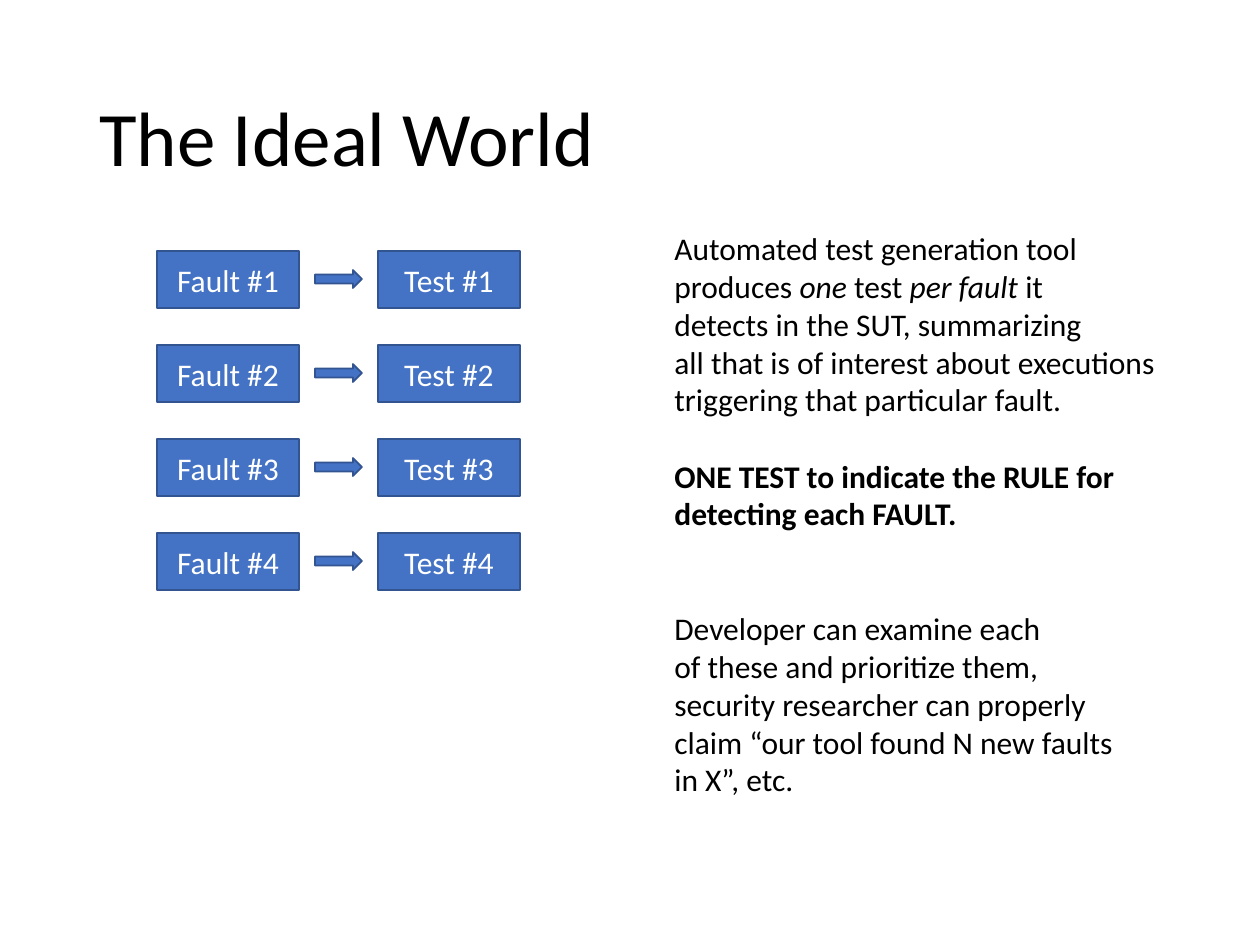
from pptx import Presentation
from pptx.dml.color import RGBColor
from pptx.enum.shapes import MSO_SHAPE
from pptx.enum.text import MSO_ANCHOR, MSO_AUTO_SIZE, PP_ALIGN
from pptx.util import Emu, Pt

PIXELS_PER_INCH = 126
FONT = "Calibri"
TEXT_SIZE = 18
LINE_HEIGHT = 22
BLACK, WHITE = "000000", "FFFFFF"
BLUE, DARK_BLUE = "4472C4", "325491"

FAULT_LEFT, ARROW_LEFT, TEST_LEFT = 157, 315, 378
FIRST_ROW_TOP, ROW_PITCH, ROW_COUNT = 251, 94, 4
BOX_WIDTH, BOX_HEIGHT = 142, 57
ARROW_WIDTH, ARROW_HEIGHT = 47, 18

EXPLANATION = [
    ("Automated test generation tool", 0),
    ("produces one test per fault it", 0),
    ("detects in the SUT, summarizing\n"
     "all that is of interest about executions\n"
     "triggering that particular fault.", 0),
    ("ONE TEST to indicate the RULE for\ndetecting each FAULT.", 1),
    ("Developer can examine each\n"
     "of these and prioritize them,\n"
     "security researcher can properly\n"
     "claim “our tool found N new faults\n"
     "in X”, etc.", 2),
]
ITALIC_PHRASES = ["one", "per fault"]
ITALIC_PARAGRAPH, BOLD_PARAGRAPH = 1, 3


def px(length):
    return Emu(round(length * 914400 / PIXELS_PER_INCH))


def color(value):
    return RGBColor.from_string(value)


def format_runs(paragraph, size, text_color, bold=False):
    for run in paragraph.runs:
        run.font.name = FONT
        run.font.size = Pt(size)
        run.font.bold = bold
        run.font.color.rgb = color(text_color)


def add_italic_runs(paragraph, text, phrases):
    for phrase in phrases:
        before, text = text.split(phrase, 1)
        paragraph.add_run().text = before
        italic_run = paragraph.add_run()
        italic_run.text = phrase
        italic_run.font.italic = True
    paragraph.add_run().text = text


def add_title(slide, text):
    shape = slide.shapes.add_textbox(px(87), px(50), px(1086), px(183))
    text_frame = shape.text_frame
    text_frame.word_wrap = True
    text_frame.vertical_anchor = MSO_ANCHOR.MIDDLE
    text_frame.text = text
    paragraph = text_frame.paragraphs[0]
    paragraph.line_spacing = 0.9
    format_runs(paragraph, 44, BLACK)


def add_blue_shape(slide, kind, left, top, width, height):
    shape = slide.shapes.add_shape(kind, px(left), px(top), px(width), px(height))
    shape.shadow.inherit = False
    shape.fill.solid()
    shape.fill.fore_color.rgb = color(BLUE)
    shape.line.color.rgb = color(DARK_BLUE)
    shape.line.width = Pt(1)
    return shape


def add_box(slide, left, top, text):
    shape = add_blue_shape(slide, MSO_SHAPE.RECTANGLE, left, top, BOX_WIDTH, BOX_HEIGHT)
    text_frame = shape.text_frame
    text_frame.vertical_anchor = MSO_ANCHOR.MIDDLE
    text_frame.text = text
    paragraph = text_frame.paragraphs[0]
    paragraph.alignment = PP_ALIGN.CENTER
    format_runs(paragraph, TEXT_SIZE, WHITE)


def add_fault_row(slide, number):
    top = FIRST_ROW_TOP + (number - 1) * ROW_PITCH
    arrow_top = top + (BOX_HEIGHT - ARROW_HEIGHT) // 2
    add_box(slide, FAULT_LEFT, top, f"Fault #{number}")
    add_blue_shape(slide, MSO_SHAPE.RIGHT_ARROW, ARROW_LEFT, arrow_top,
                   ARROW_WIDTH, ARROW_HEIGHT)
    add_box(slide, TEST_LEFT, top, f"Test #{number}")


def add_explanation(slide):
    shape = slide.shapes.add_textbox(px(662), px(223), px(511), px(585))
    text_frame = shape.text_frame
    text_frame.word_wrap = False
    text_frame.auto_size = MSO_AUTO_SIZE.SHAPE_TO_FIT_TEXT
    for index, (text, lines_before) in enumerate(EXPLANATION):
        paragraph = text_frame.add_paragraph() if index else text_frame.paragraphs[0]
        if index == ITALIC_PARAGRAPH:
            add_italic_runs(paragraph, text, ITALIC_PHRASES)
        else:
            paragraph.text = text
        if lines_before:
            paragraph.space_before = Pt(lines_before * LINE_HEIGHT)
        format_runs(paragraph, TEXT_SIZE, BLACK, bold=index == BOLD_PARAGRAPH)


def main():
    presentation = Presentation()
    presentation.slide_width = px(1260)
    presentation.slide_height = px(945)
    slide = presentation.slides.add_slide(presentation.slide_layouts[6])
    add_title(slide, "The Ideal World")
    for number in range(1, ROW_COUNT + 1):
        add_fault_row(slide, number)
    add_explanation(slide)
    presentation.save("out.pptx")


if __name__ == "__main__":
    main()
